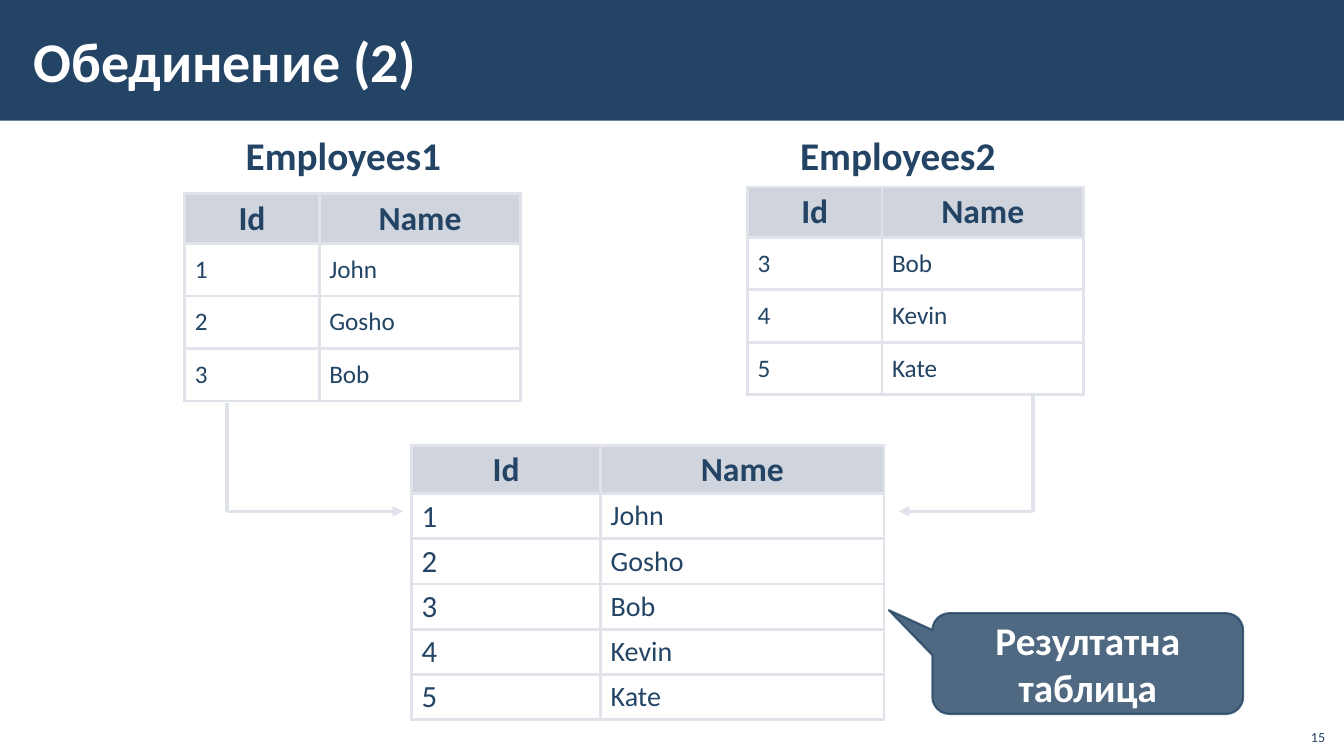
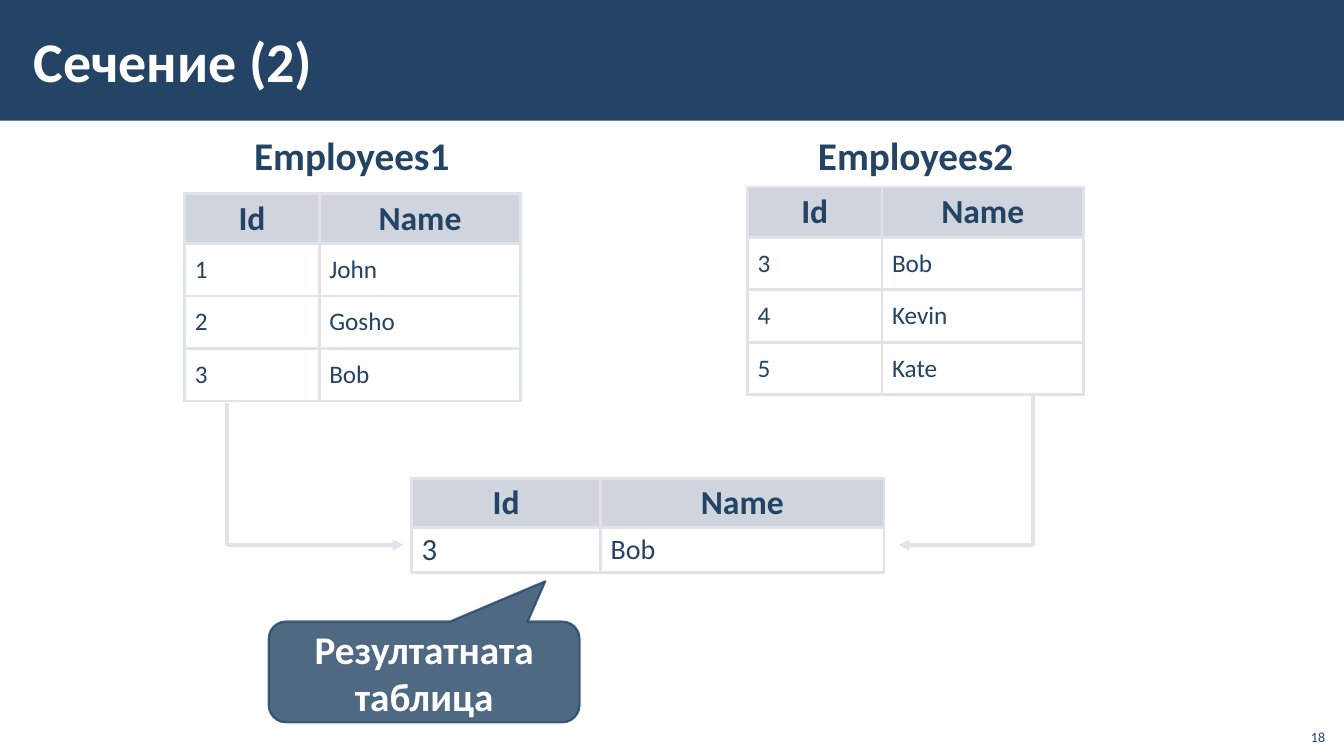
"""Build two slides that show the union and the intersection of two tables."""
import lxml.etree
import pptx
import pptx.dml.color
import pptx.enum.shapes
import pptx.enum.text
import pptx.oxml.ns
import pptx.util

PX = 9525
FONT = "Calibri"
COLORS = {"navy": "234465", "white": "FFFFFF", "line": "E0E3E9", "header": "A3ABBC"}
ALIGN = pptx.enum.text.PP_ALIGN
ANCHOR = pptx.enum.text.MSO_ANCHOR
SHAPE = pptx.enum.shapes.MSO_SHAPE

HEADER = ("Id", "Name")
SOURCES = [
    {"name": "Employees1", "left": 176, "top": 184, "arrow": (216, 384, 384),
     "rows": [("1", "John"), ("2", "Gosho"), ("3", "Bob")]},
    {"name": "Employees2", "left": 712, "top": 178, "arrow": (984, 376, 856),
     "rows": [("3", "Bob"), ("4", "Kevin"), ("5", "Kate")]},
]
SOURCE_STYLE = {"columns": (128, 192), "heights": (48, 50), "sizes": (18, 18)}
RESULT_STYLE = {"columns": (180, 270), "heights": (46, 43), "sizes": (22, 20), "line_spacing": 0.95}
RESULT_LEFT = 392
ARROW_DROP = 63
CALLOUT_SIZE = (296, 96)
SLIDES = [
    {"title": "Обединение (2)", "number": "15", "label_lefts": (224, 752), "result_top": 424,
     "rows": [("1", "John"), ("2", "Gosho"), ("3", "Bob"), ("4", "Kevin"), ("5", "Kate")],
     "callout": "Резултатна таблица", "callout_at": (888, 584), "pointer": (-0.64, -0.53, 0.17)},
    {"title": "Сечение (2)", "number": "18", "label_lefts": (232, 769), "result_top": 456,
     "rows": [("3", "Bob")],
     "callout": "Резултатната таблица", "callout_at": (256, 592), "pointer": (0.39, -0.9, 0.17)},
]


def px(*lengths):
    return [pptx.util.Emu(length * PX) for length in lengths]


def rgb(color):
    return pptx.dml.color.RGBColor.from_string(COLORS[color])


def add_element(parent, tag, **attributes):
    return lxml.etree.SubElement(parent, pptx.oxml.ns.qn(tag), **attributes)


def write(frame, text, size, color="navy", bold=False, align=ALIGN.LEFT, line_spacing=None):
    paragraph = frame.paragraphs[0]
    paragraph.alignment = align
    paragraph.line_spacing = line_spacing
    run = paragraph.add_run()
    run.text = text
    run.font.name = FONT
    run.font.size = pptx.util.Pt(size)
    run.font.bold = bold
    run.font.color.rgb = rgb(color)


def set_fill(fill, color, opacity=100):
    fill.solid()
    fill.fore_color.rgb = rgb(color)
    if opacity < 100:
        solid = fill._xPr.find(pptx.oxml.ns.qn("a:solidFill"))
        add_element(solid[0], "a:alpha", val=str(opacity * 1000))


def add_text(slide, text, box, anchor=ANCHOR.TOP, wrap=True, insets=(10, 5), **style):
    frame = slide.shapes.add_textbox(*px(*box)).text_frame
    frame.word_wrap = wrap
    frame.vertical_anchor = anchor
    frame.margin_left = frame.margin_right = px(insets[0])[0]
    frame.margin_top = frame.margin_bottom = px(insets[1])[0]
    if not wrap:
        frame.auto_size = pptx.enum.text.MSO_AUTO_SIZE.SHAPE_TO_FIT_TEXT
    write(frame, text, **style)


def add_borders(cell):
    properties = cell._tc.get_or_add_tcPr()
    for side in ("a:lnL", "a:lnR", "a:lnT", "a:lnB"):
        border = add_element(properties, side, w=str(pptx.util.Pt(2.25)))
        solid = add_element(border, "a:solidFill")
        add_element(solid, "a:srgbClr", val=COLORS["line"])


def add_table(slide, left, top, rows, columns, heights, sizes, line_spacing=None):
    row_heights = [heights[0]] + [heights[1]] * len(rows)
    box = px(left, top, sum(columns), sum(row_heights))
    table = slide.shapes.add_table(len(row_heights), len(columns), *box).table
    table.first_row = table.horz_banding = False
    for column, width in zip(table.columns, px(*columns)):
        column.width = width
    for row, height in zip(table.rows, px(*row_heights)):
        row.height = height
    for row_index, texts in enumerate([HEADER, *rows]):
        for column_index, text in enumerate(texts):
            cell = table.cell(row_index, column_index)
            cell.vertical_anchor = ANCHOR.MIDDLE
            add_borders(cell)
            if row_index == 0:
                set_fill(cell.fill, "header", 50)
                write(cell.text_frame, text, 24, bold=True, align=ALIGN.CENTER, line_spacing=0.95)
            else:
                cell.fill.background()
                write(cell.text_frame, text, sizes[column_index], line_spacing=line_spacing)


def add_line(shapes, start, end, arrow=False):
    straight = pptx.enum.shapes.MSO_CONNECTOR.STRAIGHT
    connector = shapes.add_connector(straight, *px(*start, *end))
    connector.line.color.rgb = rgb("line")
    connector.line.width = pptx.util.Pt(2.5)
    if arrow:
        add_element(connector.line._get_or_add_ln(), "a:tailEnd", type="triangle")
    add_element(connector._element.spPr, "a:effectLst")


def add_bent_arrow(slide, x, top, tip, y):
    shapes = slide.shapes.add_group_shape().shapes
    add_line(shapes, (x, top), (x, y + 1))
    add_line(shapes, (x, y), (tip, y), arrow=True)


def add_filled(slide, kind, box, opacity=100):
    shape = slide.shapes.add_shape(kind, *px(*box))
    shape.shadow.inherit = False
    set_fill(shape.fill, "navy", opacity)
    shape.line.fill.background()
    return shape


def add_callout(slide, text, position, pointer):
    shape = add_filled(slide, SHAPE.ROUNDED_RECTANGULAR_CALLOUT, (*position, *CALLOUT_SIZE), 80)
    set_fill(shape.line.fill, "navy", 80)
    shape.line.width = pptx.util.Pt(1.5)
    for index, value in enumerate(pointer):
        shape.adjustments[index] = value
    shape.text_frame.word_wrap = True
    shape.text_frame.vertical_anchor = ANCHOR.MIDDLE
    write(shape.text_frame, text, 28, "white", bold=True, align=ALIGN.CENTER)


def add_frame(slide, title, number):
    add_filled(slide, SHAPE.RECTANGLE, (0, 0, 1280, 115))
    add_text(slide, title, (20, 11, 1078, 93), ANCHOR.MIDDLE, insets=(12, 4),
             size=40, color="white", bold=True)
    add_text(slide, number, (1234, 684, 38, 31), ANCHOR.BOTTOM, size=10, align=ALIGN.RIGHT)


def build_slide(presentation, content):
    slide = presentation.slides.add_slide(presentation.slide_layouts[6])
    add_frame(slide, content["title"], content["number"])
    result_top = content["result_top"]
    for source, label_left in zip(SOURCES, content["label_lefts"]):
        add_text(slide, source["name"], (label_left, 120, 207, 55), wrap=False, size=28, bold=True)
        add_bent_arrow(slide, *source["arrow"], result_top + ARROW_DROP)
        add_table(slide, source["left"], source["top"], source["rows"], **SOURCE_STYLE)
    add_table(slide, RESULT_LEFT, result_top, content["rows"], **RESULT_STYLE)
    add_callout(slide, content["callout"], content["callout_at"], content["pointer"])


def main():
    presentation = pptx.Presentation()
    presentation.slide_width, presentation.slide_height = px(1280, 720)
    for content in SLIDES:
        build_slide(presentation, content)
    presentation.save("out.pptx")


if __name__ == "__main__":
    main()
